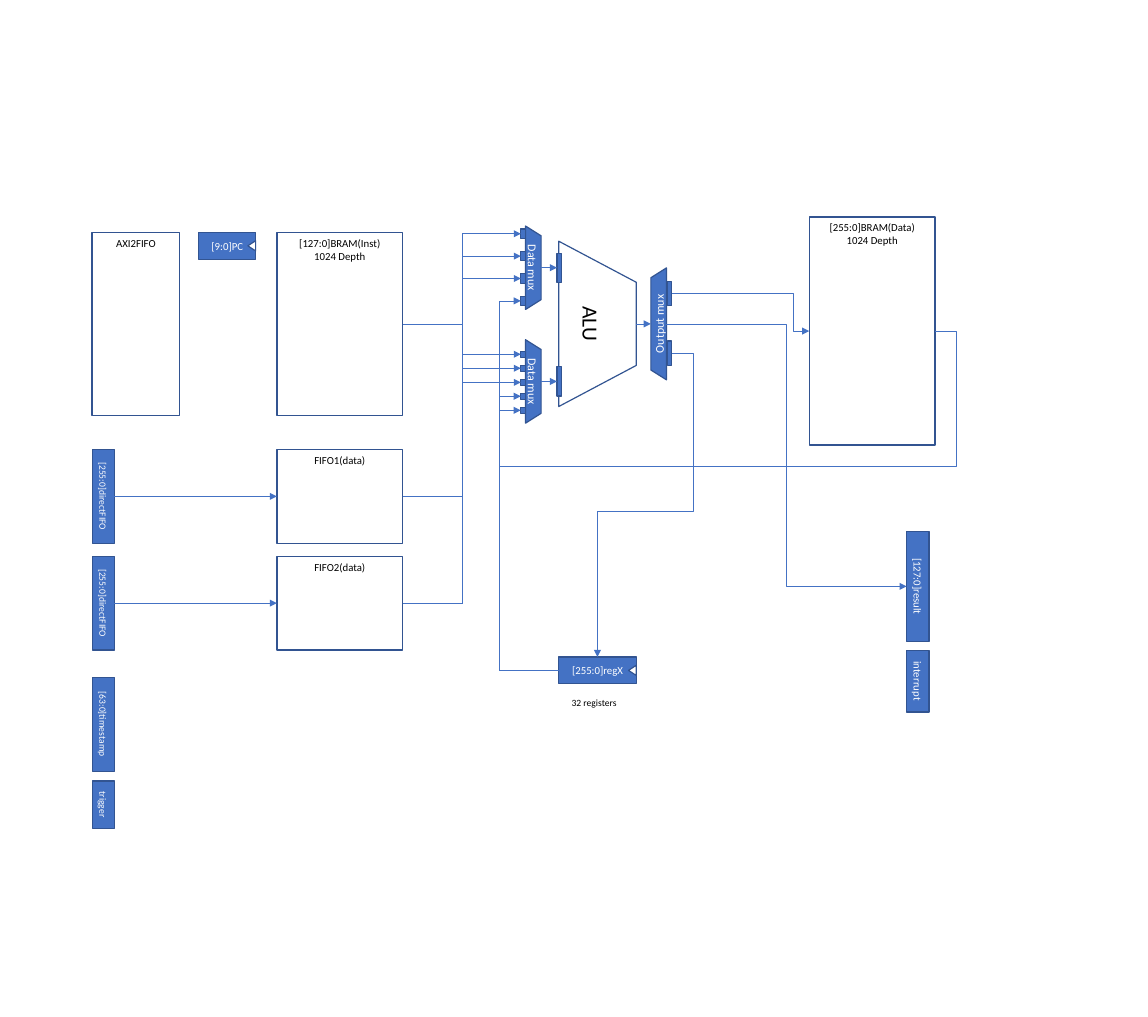
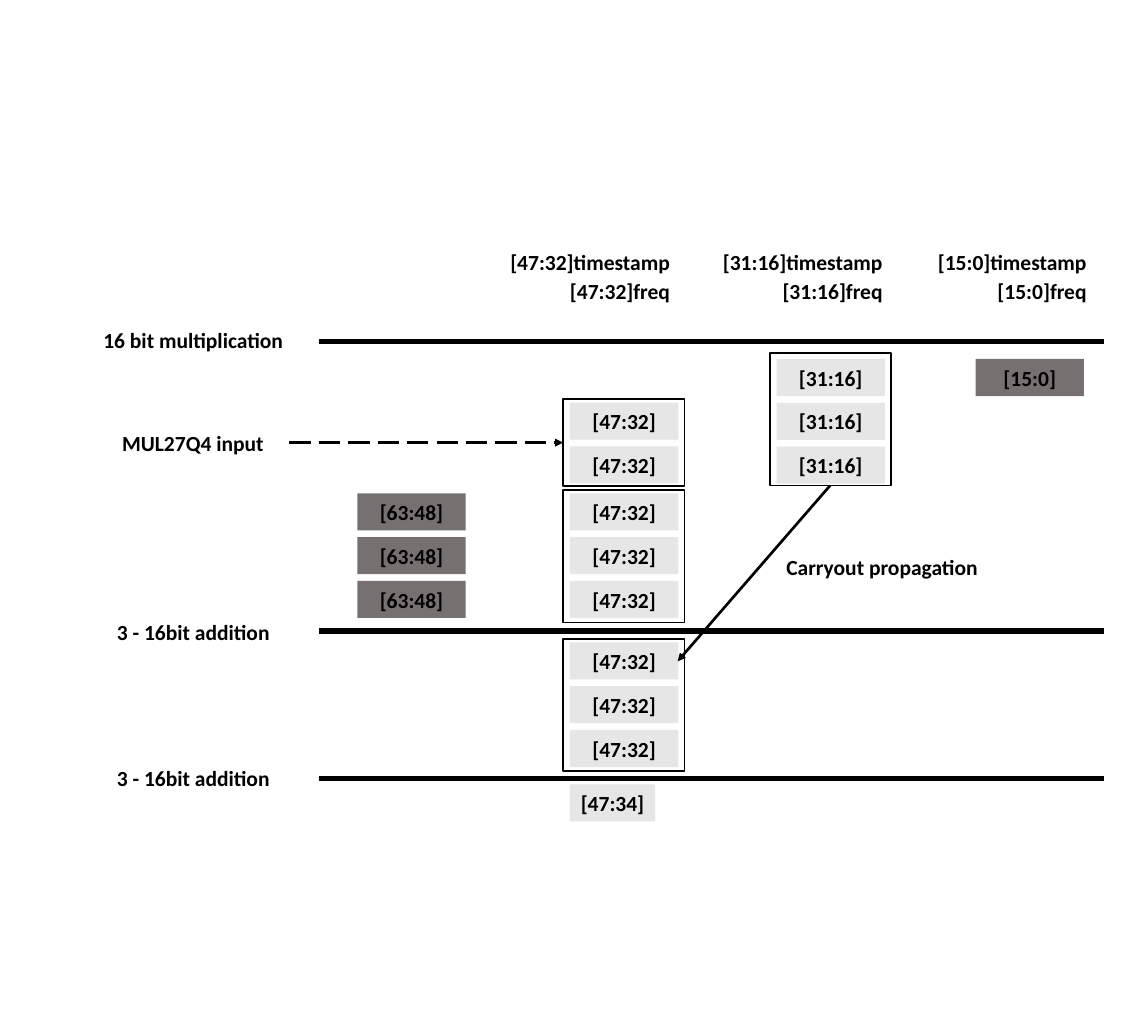
from dataclasses import dataclass

from lxml import etree
from pptx import Presentation
from pptx.dml.color import RGBColor
from pptx.enum.dml import MSO_LINE
from pptx.enum.shapes import MSO_CONNECTOR, MSO_SHAPE
from pptx.enum.text import MSO_ANCHOR, PP_ALIGN
from pptx.oxml.ns import qn
from pptx.util import Pt

RECTANGLE, TRAPEZOID, TRIANGLE = MSO_SHAPE.RECTANGLE, MSO_SHAPE.TRAPEZOID, MSO_SHAPE.ISOSCELES_TRIANGLE
STRAIGHT, ELBOW = MSO_CONNECTOR.STRAIGHT, MSO_CONNECTOR.ELBOW
LONG_DASH = MSO_LINE.LONG_DASH
TOP, MIDDLE = MSO_ANCHOR.TOP, MSO_ANCHOR.MIDDLE
LEFT, CENTER, RIGHT = PP_ALIGN.LEFT, PP_ALIGN.CENTER, PP_ALIGN.RIGHT
SITES = {"top": (0, 0, -1), "left": (1, -1, 0), "right": (3, 1, 0)}


@dataclass(frozen=True)
class Theme:
    """Colours, type sizes and line widths of the presentation."""
    font: str = "Calibri"
    blue: str = "4472C4"
    outline: str = "325491"
    white: str = "FFFFFF"
    black: str = "000000"
    light: str = "E7E6E6"
    dark: str = "767171"
    tiny: float = 8
    small: float = 9
    mux: float = 10
    large: float = 18
    wire: float = 0.5
    edge: float = 1
    frame: float = 1.5
    arrow: float = 2.25
    rule: float = 4.5


THEME = Theme()


@dataclass(frozen=True)
class Box:
    """A rectangle in points."""
    left: float
    top: float
    width: float
    height: float

    def inside(self, left, top, width, height):
        """Return a box placed relative to this one."""
        return Box(self.left + left, self.top + top, width, height)

    def turned(self):
        """Return the box with swapped sides about the same centre."""
        shift = (self.width - self.height) / 2
        return Box(self.left + shift, self.top - shift, self.height, self.width)

    def lengths(self):
        """Return left, top, width and height as lengths."""
        return [Pt(value) for value in (self.left, self.top, self.width, self.height)]


@dataclass(frozen=True)
class Anchor:
    """A connector end, glued to a shape when it has one."""
    x: int
    y: int
    shape: object = None
    site: int = 0


def side(shape, name):
    """Return the anchor in the middle of a visible side."""
    site, across, down = SITES[name]
    quarter_turn = shape.rotation in (90, 270)
    width, height = (shape.height, shape.width) if quarter_turn else (shape.width, shape.height)
    x = shape.left + shape.width // 2 + across * width // 2
    y = shape.top + shape.height // 2 + down * height // 2
    return Anchor(x, y, None if shape.rotation else shape, site)


def write(shape, lines, size, color, align=CENTER, anchor=MIDDLE, bold=False):
    """Write one paragraph for each line of text."""
    frame = shape.text_frame
    frame.vertical_anchor = anchor
    for index, line in enumerate(lines):
        paragraph = frame.add_paragraph() if index else frame.paragraphs[0]
        paragraph.alignment = align
        run = paragraph.add_run()
        run.text = line
        run.font.name, run.font.size, run.font.bold = THEME.font, Pt(size), bold
        run.font.color.rgb = RGBColor.from_string(color)


def add_block(shapes, box, kind=RECTANGLE, fill=None, line=THEME.outline, width=THEME.edge, rotation=0):
    """Add a preset shape that covers the box after its rotation."""
    shape = shapes.add_shape(kind, *(box.turned() if rotation else box).lengths())
    shape.rotation = rotation
    shape.shadow.inherit = False
    if fill:
        shape.fill.solid()
        shape.fill.fore_color.rgb = RGBColor.from_string(fill)
    else:
        shape.fill.background()
    if line:
        shape.line.color.rgb = RGBColor.from_string(line)
        shape.line.width = Pt(width)
    else:
        shape.line.fill.background()
    return shape


def add_label(shapes, box, text, size=THEME.large, align=CENTER, anchor=MIDDLE, bold=True, wrap=True):
    """Add a text box."""
    label = shapes.add_textbox(*box.lengths())
    label.text_frame.word_wrap = wrap
    write(label, [text], size, THEME.black, align, anchor, bold)


def add_line(shapes, begin, end, bends=(), color=THEME.blue, width=THEME.wire, head=True, dash=None):
    """Add a connector that turns at the given x, y, x positions."""
    connector = shapes.add_connector(ELBOW if bends else STRAIGHT, begin.x, begin.y, end.x, end.y)
    if begin.shape is not None:
        connector.begin_connect(begin.shape, begin.site)
    if end.shape is not None:
        connector.end_connect(end.shape, end.site)
    connector.line.color.rgb = RGBColor.from_string(color)
    connector.line.width = Pt(width)
    if dash:
        connector.line.dash_style = dash
    properties = connector._element.spPr
    if bends:
        geometry = properties.find(qn("a:prstGeom"))
        geometry.set("prst", f"bentConnector{len(bends) + 2}")
        guides = geometry.find(qn("a:avLst"))
        for index, bend in enumerate(bends):
            start, stop = (begin.y, end.y) if index % 2 else (begin.x, end.x)
            ratio = round((Pt(bend) - start) / (stop - start) * 100000)
            etree.SubElement(guides, qn("a:gd"), name=f"adj{index + 1}", fmla=f"val {ratio}")
    if head:
        etree.SubElement(properties.find(qn("a:ln")), qn("a:tailEnd"), type="triangle")
    etree.SubElement(properties, qn("a:effectLst"))


def add_memory(shapes, box, *lines):
    """Add an outlined memory block with its name at the top."""
    memory = add_block(shapes, box)
    write(memory, lines, THEME.small, THEME.black, anchor=TOP)
    return memory


def add_port(shapes, box, name, size):
    """Add a blue port with its name turned downwards."""
    port = add_block(shapes, box, fill=THEME.blue, rotation=90)
    write(port, [name], size, THEME.white)
    return port


def add_register(shapes, box, name):
    """Add a register with a clock mark on its right edge."""
    members = shapes.add_group_shape().shapes
    body = add_block(members, box, fill=THEME.blue)
    write(body, [name], THEME.small, THEME.white)
    mark = box.inside(box.width - 6.5, (box.height - 8.6) / 2, 6.5, 8.6)
    add_block(members, mark, TRIANGLE, THEME.white, rotation=270)
    return body


def add_mux(shapes, box, name, rotation, pin_left, pin_height, pin_centers):
    """Add a multiplexer and return its body and pins."""
    members = shapes.add_group_shape().shapes
    body = add_block(members, box, TRAPEZOID, THEME.blue, rotation=rotation)
    body.adjustments[0] = 0.63
    write(body, [name], THEME.mux, THEME.white)
    pins = [add_block(members, box.inside(pin_left, center - pin_height / 2, 3.6, pin_height), fill=THEME.blue)
            for center in pin_centers]
    return body, pins


def add_inputs(shapes, box):
    """Add the input interface and return the two FIFO ports."""
    add_memory(shapes, box.inside(0, 0, 73.4, 153.4), "AXI2FIFO")
    add_register(shapes, box.inside(89.3, 0, 47.5, 22.3), "[9:0]PC")
    ports = [("[255:0]directFIFO", 181.4, 78.5), ("[255:0]directFIFO", 270.7, 78.5),
             ("[63:0]timestamp", 372, 78.5), ("trigger", 458.6, 39.6)]
    return [add_port(shapes, box.inside(0, top, 18.7, height), name, THEME.tiny)
            for name, top, height in ports][:2]


def add_memories(shapes, box):
    """Add the instruction memory and the two data FIFOs."""
    memories = [(0, 153.4, ("[127:0]BRAM(Inst)", "1024 Depth")),
                (181.4, 78.5, ("FIFO1(data)",)), (270.7, 78.5, ("FIFO2(data)",))]
    return [add_memory(shapes, box.inside(0, top, box.width, height), *lines) for top, height, lines in memories]


def add_execution_unit(shapes, box):
    """Add the ALU with its muxes and return the pins, output mux and its ports."""
    alu = add_block(shapes, box.inside(27.8, 12.7, 64.8, 138.2), TRAPEZOID, rotation=90)
    alu.adjustments[0] = 0.53
    write(alu, ["ALU"], THEME.large, THEME.black)
    pins = []
    for top, height, first, count, step in ((0, 7.9, 6.5, 4, 18.7), (95.1, 5, 12.2, 5, 11.7)):
        centers = [first + step * index for index in range(count)]
        mux, mux_pins = add_mux(shapes, box.inside(0, top, 13, 69.8), "Data mux", 90, -3.9, height, centers)
        operand = add_block(shapes, box.inside(26.3, top + 22.65, 3.6, 24.5), fill=THEME.blue)
        add_line(shapes, side(mux, "right"), side(operand, "left"))
        pins.append(mux_pins)
    output, ports = add_mux(shapes, box.inside(104.8, 35, 13, 93.6), "Output mux", 270, 13.7, 20.2, (21.6, 71.3))
    add_line(shapes, side(alu, "right"), side(output, "left"))
    return pins, output, ports


def add_outputs(shapes, box):
    """Add the data memory and the output ports."""
    memory = add_memory(shapes, box.inside(0, 0, 105.1, 190.8), "[255:0]BRAM(Data)", "1024 Depth")
    result = add_port(shapes, box.inside(81.4, 262.8, 18.7, 92.2), "[127:0]result", THEME.small)
    add_port(shapes, box.inside(81.4, 362.2, 18.7, 51.8), "interrupt", THEME.small)
    return memory, result


def build_processor(slide):
    """Draw the processor block diagram."""
    shapes = slide.shapes
    fifo_ports = add_inputs(shapes, Box(77, 194.4, 136.8, 498.2))
    instructions, *fifos = add_memories(shapes, Box(231.6, 194.4, 105.1, 349.2))
    (upper, lower), output, ports = add_execution_unit(shapes, Box(439.5, 189, 118, 165))
    data, result = add_outputs(shapes, Box(676.8, 181.4, 105.1, 414))
    register = add_register(shapes, Box(467.3, 549.4, 64.8, 22.3), "[255:0]regX")
    add_label(shapes, Box(470.9, 578.9, 52.6, 17.3), "32 registers", THEME.tiny, LEFT, TOP, False, False)

    for port, fifo in zip(fifo_ports, fifos):
        add_line(shapes, side(port, "right"), side(fifo, "left"))
    bus, feedback = 386.6, 417.6
    wires = [(instructions, "right", lower[2], (bus,)),
             (fifos[0], "right", lower[1], (bus,)), (fifos[0], "right", upper[0], (bus,)),
             (fifos[1], "right", lower[0], (bus,)), (fifos[1], "right", upper[1], (bus,)),
             (fifos[1], "right", upper[2], (bus,)),
             (data, "right", lower[3], (800, 390.2, feedback)),
             (register, "left", lower[4], (feedback,)), (register, "left", upper[3], (feedback,)),
             (output, "right", result, (658,)), (ports[0], "right", data, (663.1,))]
    for source, exit_side, target, bends in wires:
        add_line(shapes, side(source, exit_side), side(target, "left"), bends)
    add_line(shapes, side(ports[1], "right"), side(register, "top"), (579.6, 427.7))


def add_headings(shapes, box):
    """Add the operand names above each column."""
    for right, bits in ((172, "[47:32]"), (349.8, "[31:16]"), (520.4, "[15:0]")):
        for top, width, name in ((0, 172, "timestamp"), (24.5, 112, "freq")):
            add_label(shapes, box.inside(right - width, top, width, 21.6), bits + name, align=RIGHT)


def add_words(shapes, box):
    """Add the stacks of partial words and their frames."""
    first, second, third, fourth = 0, 177.8, 350.6, 517
    stacks = [(third, 0, 3, "[31:16]", THEME.light, 90.7), (second, 36.4, 2, "[47:32]", THEME.light, 90.7),
              (second, 112.4, 3, "[47:32]", THEME.light, 90.7), (second, 237, 3, "[47:32]", THEME.light, 90.7),
              (second, 355.7, 1, "[47:34]", THEME.light, 71.3), (fourth, 0, 1, "[15:0]", THEME.dark, 90.7),
              (first, 112.4, 3, "[63:48]", THEME.dark, 90.7)]
    for left, top, count, bits, fill, width in stacks:
        for row in range(count):
            word = add_block(shapes, box.inside(left, top + 36.6 * row, width, 31), fill=fill, line=None)
            write(word, [bits], THEME.large, THEME.black, bold=True)
    frames = [(third, -5, 110.9), (second, 33.2, 72.7), (second, 109.5, 110.9), (second, 234, 110.9)]
    for left, top, height in frames:
        add_block(shapes, box.inside(left - 5.6, top, 101.5, height), line=THEME.black, width=THEME.frame)


def add_stages(shapes, box):
    """Add the stage names and the rules across the columns."""
    for top, name in ((0, "16 bit multiplication"), (243.8, "3 - 16bit addition"), (366.2, "3 - 16bit addition")):
        add_label(shapes, box.inside(0, top, 193.7, 21.6), name)
    for top in (12.2, 254.2, 377.3):
        y = Pt(box.top + top)
        add_line(shapes, Anchor(Pt(box.left + 202.3), y), Anchor(Pt(box.left + box.width), y),
                 color=THEME.black, width=THEME.rule, head=False)


def add_notes(shapes, box):
    """Add the two explanations with their arrows."""
    add_label(shapes, box.inside(0, 0, 159.8, 21.6), "MUL27Q4 input")
    add_label(shapes, box.inside(551.5, 103.7, 209.5, 21.6), "Carryout propagation")
    for start, stop, dash in (((160.5, 10.8), (389.5, 10.8), LONG_DASH), ((612.7, 46.8), (485.3, 193.7), None)):
        begin, end = [Anchor(Pt(box.left + x), Pt(box.top + y)) for x, y in (start, stop)]
        add_line(shapes, begin, end, color=THEME.black, width=THEME.arrow, dash=dash)


def build_multiplication(slide):
    """Draw the stages of the multiplication."""
    shapes = slide.shapes
    add_words(shapes, Box(298.8, 300.2, 607.7, 386.7))
    add_stages(shapes, Box(64.8, 273.6, 858.2, 387.4))
    add_headings(shapes, Box(395.4, 208.1, 520.4, 46.1))
    add_notes(shapes, Box(81.4, 359.3, 761, 194))


def main():
    """Build and save the presentation."""
    presentation = Presentation()
    presentation.slide_width, presentation.slide_height = Pt(960), Pt(850.4)
    blank = presentation.slide_layouts[6]
    for build in (build_processor, build_multiplication):
        build(presentation.slides.add_slide(blank))
    presentation.save("out.pptx")


if __name__ == "__main__":
    main()
